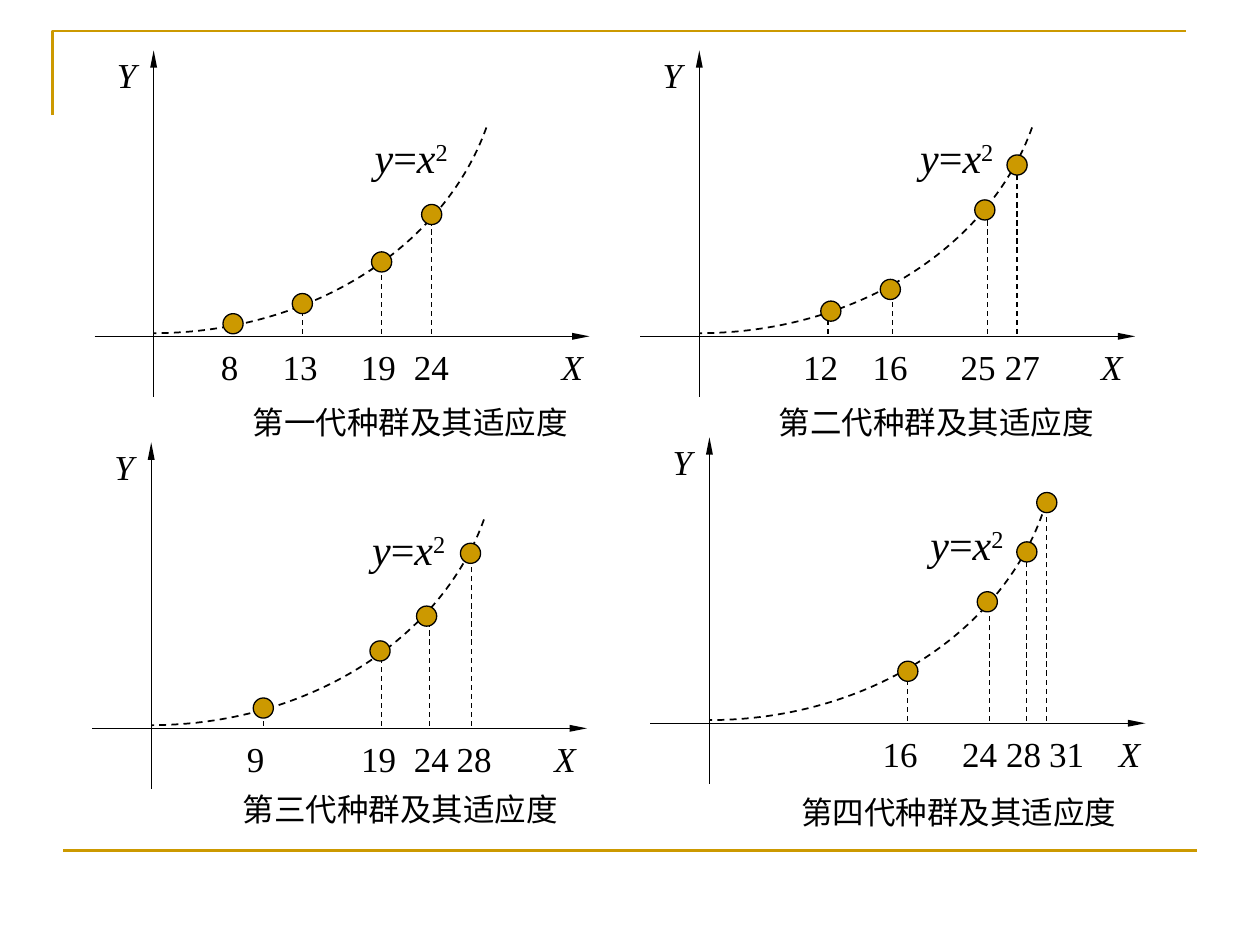
from lxml import etree
from pptx import Presentation
from pptx import util as u
from pptx.dml.color import RGBColor
from pptx.enum import dml, shapes
from pptx.oxml import ns

Pt = u.Pt
GOLD, BLACK = "CC9900", "000000"
SERIF = "Times New Roman"

deck = Presentation()
deck.slide_width, deck.slide_height = Pt(720), Pt(540)
slide = deck.slides.add_slide(deck.slide_layouts[6])


def stroke(item, color, width, dashed=False, arrow=False):
    item.line.color.rgb = RGBColor.from_string(color)
    item.line.width = Pt(width)
    if dashed:
        item.line.dash_style = dml.MSO_LINE.DASH
    properties = item._element.spPr
    if arrow:
        etree.SubElement(properties.find(ns.qn("a:ln")), ns.qn("a:tailEnd"),
                         type="triangle", w="sm", len="lg")
    if properties.find(ns.qn("a:effectLst")) is None:
        etree.SubElement(properties, ns.qn("a:effectLst"))


def write(left, top, width, height, runs, size, font, inset=(7.2, 3.6)):
    box = slide.shapes.add_textbox(Pt(left), Pt(top), Pt(width), Pt(height))
    frame = box.text_frame
    margins = {"margin_left": inset[0], "margin_right": inset[0],
               "margin_top": inset[1], "margin_bottom": inset[1]}
    for key, value in margins.items():
        setattr(frame, key, Pt(value))
    frame.word_wrap = True
    paragraph = frame.paragraphs[0]
    paragraph.space_before = Pt(size * 0.625)
    for words, italic in runs:
        run = paragraph.add_run()
        run.text = words
        for key, value in {"size": Pt(size), "name": font, "italic": italic}.items():
            setattr(run.font, key, value)
        run.font.color.rgb = RGBColor.from_string(BLACK)
    return paragraph


outline = slide.shapes.build_freeform(Pt(30), Pt(65.8))
outline.add_line_segments([(Pt(30), Pt(17.8)), (Pt(677.8), Pt(17.8))], close=False)
corner = outline.convert_to_shape()
corner.fill.background()
stroke(corner, GOLD, 1.5)

footer = slide.shapes.add_connector(shapes.MSO_CONNECTOR.STRAIGHT, Pt(36), Pt(486), Pt(684), Pt(486))
stroke(footer, GOLD, 1.5)

generations = [
    {"origin": (87.8, 192.2), "caption": ("第一代种群及其适应度", 56.6, 38.2),
     "label_box": (11.5, 266.4), "x_label": 239,
     "members": [(8, 43.2, 45.4, 7.2, None), (13, 83.5, 85, 18.7, 85),
                 (19, 128.2, 130.3, 42.5, 130.3), (24, 158.4, 158.9, 69.6, 158.9)]},
    {"origin": (399.6, 192.2), "caption": ("第二代种群及其适应度", 45.4, 38.2),
     "label_box": (17.3, 260.6), "x_label": 235.4,
     "members": [(12, 69.1, 75.2, 14.4, 73.6), (16, 108.7, 109.2, 26.8, 110.4),
                 (25, 159.1, 163.2, 72.2, 164.6), (27, 184.3, 181.6, 97.9, 181.6)]},
    {"origin": (86.4, 416.2), "caption": ("第三代种群及其适应度", 52.3, 35.3),
     "label_box": (13, 244.1), "x_label": 236.2,
     "members": [(9, 59.4, 64.1, 11.6, 64.1), (19, 129.6, 130.8, 44.2, 131.8),
                 (24, 159.8, 157.4, 64.1, 159.1), (28, 184.3, 182.5, 100, 182.9)]},
    {"origin": (405.4, 413.3), "caption": ("第四代种群及其适应度", 52.6, 39.8),
     "label_box": (17.3, 247), "x_label": 239.8,
     "members": [(16, 108.7, 113.4, 29.7, 113.2), (24, 154.1, 158.8, 69.4, 160),
                 (28, 179.3, 181.4, 97.9, 181.4), (31, 203.8, 192.8, 126.1, 192.8)]},
]
CURVE_WIDTH, CURVE_HEIGHT = 396.8, 328.5
DEGREE = 0.6
DOT = 11.5

for generation in generations:
    x0, y0 = generation["origin"]
    members = generation["members"]

    lines = [(x0 - 33.8, y0, x0 + 249.1, y0, False),
             (x0, y0 + 34.6, x0, y0 - 163.4, False)]
    lines += [(x0 + foot, y0 - 1.4, x0 + foot, y0 - height, True)
              for _, _, _, height, foot in members if foot is not None]
    for *ends, dashed in lines:
        line = slide.shapes.add_connector(shapes.MSO_CONNECTOR.STRAIGHT, *map(Pt, ends))
        stroke(line, BLACK, 0.75, dashed, arrow=not dashed)

    parabola = slide.shapes.add_shape(shapes.MSO_SHAPE.ARC, Pt(x0 - CURVE_WIDTH / 2),
                                      Pt(y0 - 1.8 - CURVE_HEIGHT), Pt(CURVE_WIDTH), Pt(CURVE_HEIGHT))
    for index, angle in enumerate((13.8, 90)):
        parabola.adjustments[index] = angle * DEGREE
    parabola.shadow.inherit = False
    parabola.fill.background()
    stroke(parabola, BLACK, 1, dashed=True)

    for _, _, dx, height, _ in members:
        dot = slide.shapes.add_shape(shapes.MSO_SHAPE.OVAL, Pt(x0 + dx - DOT / 2),
                                     Pt(y0 - height - DOT / 2), Pt(DOT), Pt(DOT))
        dot.shadow.inherit = False
        dot.fill.solid()
        dot.fill.fore_color.rgb = RGBColor.from_string(GOLD)
        stroke(dot, BLACK, 0.75)

    write(x0 - 28.1, y0 - 165.1, 22.3, 31.7, [("Y", True)], 20, SERIF)
    formula = write(x0 + 119.2, y0 - 120.4, 62.6, 36,
                    [("y", True), ("=", False), ("x", True), ("2", False)], 24, SERIF)
    formula.runs[-1].font._element.set("baseline", "30000")

    offset, width = generation["label_box"]
    values = "".join(f"\t{member[0]}" for member in members)
    labels = write(x0 + offset, y0 + 1.6, width, 31.7, [(values + "\t", False), ("X", True)], 20, SERIF)
    stops = etree.SubElement(labels._p.get_or_add_pPr(), ns.qn("a:tabLst"))
    for center in [member[1] for member in members] + [generation["x_label"]]:
        etree.SubElement(stops, ns.qn("a:tab"), pos=str(Pt(center - offset - 6.8)), algn="ctr")

    caption, dx, dy = generation["caption"]
    write(x0 + dx, y0 + dy, 193, 21.6, [(caption, False)], 18, "Arial", (0, 0))

deck.save("out.pptx")
